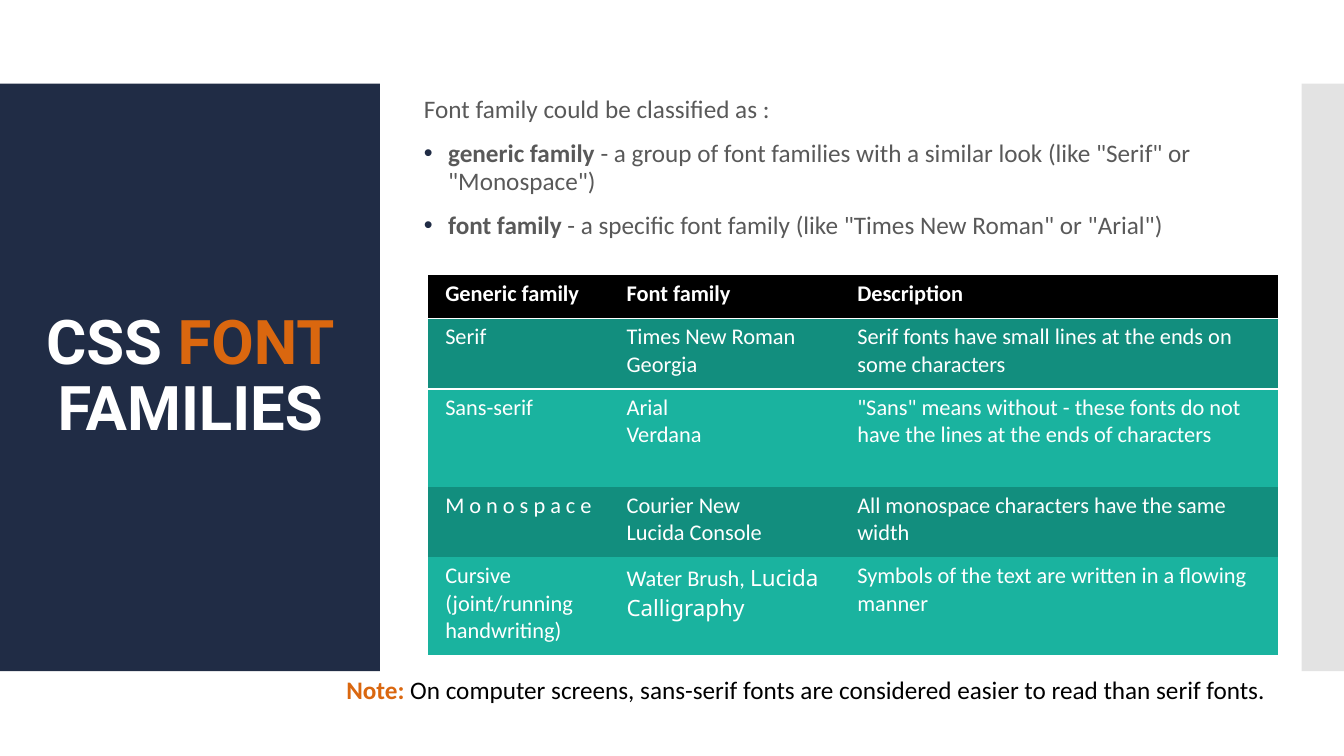
"""Build the CSS font families slide."""
from lxml import etree
from pptx import Presentation
from pptx.dml.color import RGBColor
from pptx.enum import shapes, text
from pptx.oxml import ns
from pptx.util import Inches, Pt

NAVY = RGBColor(0x20, 0x2C, 0x45)
PALE_GREY = RGBColor(0xC8, 0xC8, 0xC8)
ORANGE = RGBColor(0xDA, 0x67, 0x0F)
WHITE = RGBColor(0xFF, 0xFF, 0xFF)
BLACK = RGBColor(0, 0, 0)
GREY = RGBColor(0x59, 0x59, 0x59)
DARK_TEAL = RGBColor(0x12, 0x8E, 0x7E)
TEAL = RGBColor(0x1A, 0xB3, 0x9F)

TITLE = [("CSS ", WHITE), ("FONT", ORANGE), (" FAMILIES", WHITE)]
INTRO = "Font family could be classified as :"
DEFINITIONS = [
    ("generic family", '\u00a0- a group of font families with a similar look (like "Serif" or "Monospace")'),
    ("font family", '\u00a0- a specific font family (like "Times New Roman" or "Arial")'),
]
FAMILIES = [
    ("Generic family", "Font family", "Description"),
    ("Serif", "Times New Roman\nGeorgia",
     "Serif fonts have small lines at the ends on some characters"),
    ("Sans-serif", "Arial\nVerdana",
     '"Sans" means without - these fonts do not have the lines at the ends of characters'),
    ("M o n o s p a c e", "Courier New\nLucida Console",
     "All monospace characters have the same width"),
    ("Cursive (joint/running handwriting)", "Water Brush, ",
     "Symbols of the text are written in a flowing manner"),
]
CURSIVE_EXTRA = "Lucida Calligraphy"
NOTE = ("Note:", "\u00a0On computer screens, sans-serif fonts are considered easier to read than serif fonts.")
COLUMN_WIDTHS = (1.89, 2.29, 4.26)
ROW_HEIGHTS = (0.43, 0.7, 0.97, 0.7, 0.97)
NO_STYLE = "{2D5ABB26-0587-4C30-8999-92F81FD0307C}"


def add_band(slide, left, width, color):
    band = slide.shapes.add_shape(shapes.MSO_SHAPE.RECTANGLE, Inches(left), Inches(0.83),
                                  Inches(width), Inches(5.83))
    band.shadow.inherit = False
    band.fill.solid()
    band.fill.fore_color.rgb = color
    band.line.fill.background()
    return band


def add_text(slide, left, top, width, height, anchor):
    frame = slide.shapes.add_textbox(*map(Inches, (left, top, width, height))).text_frame
    frame.word_wrap = True
    frame.vertical_anchor = anchor
    return frame


def write(paragraph, words, size, color, bold=False, font="Calibri"):
    for index, line in enumerate(words.split("\n")):
        if index:
            paragraph.add_line_break()
        run = paragraph.add_run()
        run.text = line
        run.font.size = Pt(size)
        run.font.name = font
        run.font.bold = bold
        run.font.color.rgb = color


def add_bullet(paragraph):
    props = paragraph._p.get_or_add_pPr()
    props.set("marL", str(Inches(0.24)))
    props.set("indent", str(-Inches(0.24)))
    color = etree.SubElement(props, ns.qn("a:buClr"))
    etree.SubElement(color, ns.qn("a:srgbClr"), val=str(NAVY))
    etree.SubElement(props, ns.qn("a:buFont"), typeface="Arial")
    etree.SubElement(props, ns.qn("a:buChar"), char="\u2022")


def add_rule(cell, side):
    line = etree.Element(ns.qn(f"a:{side}"), w=str(Pt(0.96)))
    fill = etree.SubElement(line, ns.qn("a:solidFill"))
    etree.SubElement(fill, ns.qn("a:srgbClr"), val=str(WHITE))
    cell._tc.get_or_add_tcPr().insert(0, line)


def add_families(slide):
    table = slide.shapes.add_table(len(FAMILIES), len(COLUMN_WIDTHS), Inches(4.25), Inches(2.73),
                                   Inches(sum(COLUMN_WIDTHS)), Inches(sum(ROW_HEIGHTS))).table
    table._tbl.tblPr.find(ns.qn("a:tableStyleId")).text = NO_STYLE
    table.horz_banding = False
    for column, width in zip(table.columns, COLUMN_WIDTHS):
        column.width = Inches(width)
    for r, (height, words) in enumerate(zip(ROW_HEIGHTS, FAMILIES)):
        table.rows[r].height = Inches(height)
        for c, entry in enumerate(words):
            cell = table.cell(r, c)
            cell.margin_left = Inches(0.08 if c else 0.17)
            cell.margin_right = Inches(0.08)
            cell.margin_top = cell.margin_bottom = Inches(0.05)
            cell.fill.solid()
            cell.fill.fore_color.rgb = BLACK if r == 0 else DARK_TEAL if r % 2 else TEAL
            if r < 2:
                add_rule(cell, "lnT" if r else "lnB")
            write(cell.text_frame.paragraphs[0], entry, 16, WHITE, bold=r == 0)
    font_cell = table.cell(len(FAMILIES) - 1, 1)
    write(font_cell.text_frame.paragraphs[0], CURSIVE_EXTRA, 16, WHITE, font="Noto Sans")


deck = Presentation()
deck.slide_width, deck.slide_height = Inches(13.34), Inches(7.5)
slide = deck.slides.add_slide(deck.slide_layouts[6])

add_band(slide, 0, 3.77, NAVY)
edge = add_band(slide, 12.92, 0.42, PALE_GREY)
edge_color = edge.fill._xPr.find(".//" + ns.qn("a:srgbClr"))
etree.SubElement(edge_color, ns.qn("a:alpha"), val="50000")

title = add_text(slide, 0.28, 1.23, 3.22, 5.03, text.MSO_ANCHOR.MIDDLE).paragraphs[0]
title.alignment = text.PP_ALIGN.CENTER
title.line_spacing = 0.9
for words, color in TITLE:
    write(title, words, 44, color, bold=True, font="Roboto")

body = add_text(slide, 4.11, 0.68, 8.51, 1.98, text.MSO_ANCHOR.MIDDLE)
write(body.paragraphs[0], INTRO, 18, GREY)
for term, meaning in DEFINITIONS:
    definition = body.add_paragraph()
    write(definition, term, 18, GREY, bold=True)
    write(definition, meaning, 18, GREY)
for paragraph in body.paragraphs:
    paragraph.line_spacing = 0.9
    paragraph.space_before = Pt(12)
for definition in body.paragraphs[1:]:
    add_bullet(definition)

add_families(slide)

note = add_text(slide, 3.34, 6.64, 9.57, 0.7, text.MSO_ANCHOR.TOP).paragraphs[0]
write(note, NOTE[0], 18, ORANGE, bold=True)
write(note, NOTE[1], 18, BLACK)

deck.save("out.pptx")
